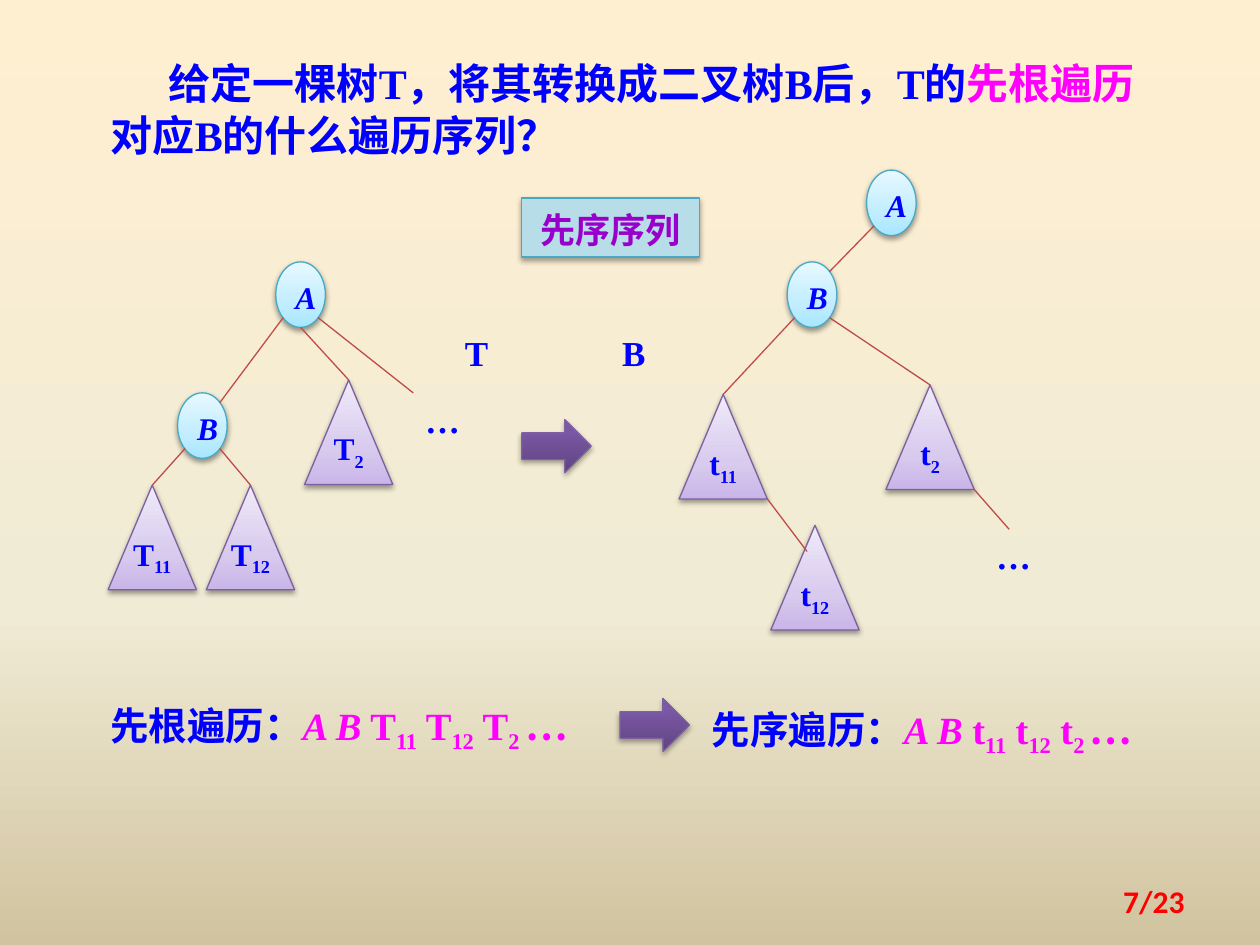
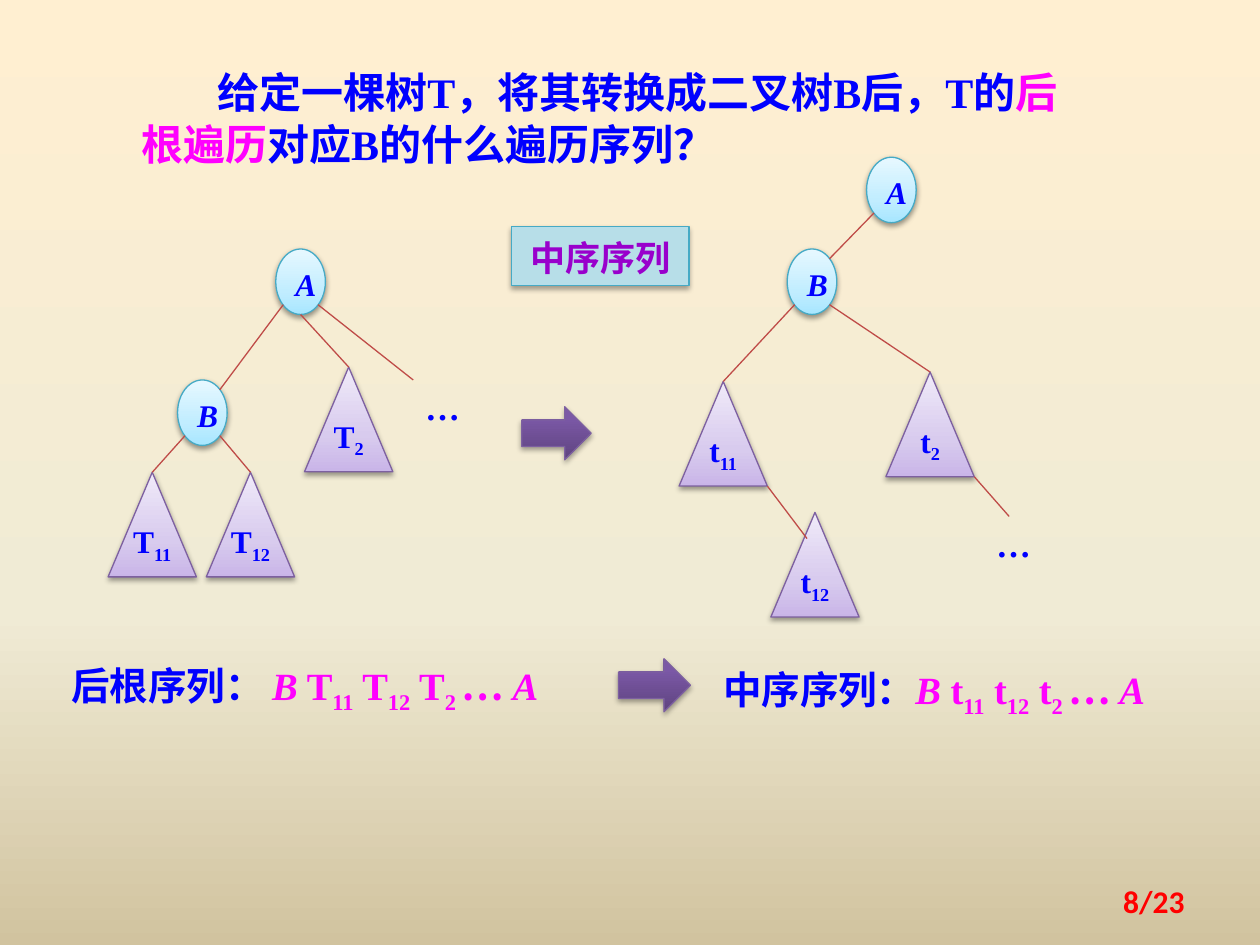
from dataclasses import dataclass
from lxml.etree import SubElement as Sub
from pptx import Presentation
from pptx.dml.color import RGBColor as Rgb
from pptx.enum.shapes import MSO_CONNECTOR as Link, MSO_SHAPE as Form
from pptx.enum.text import MSO_ANCHOR as Anchor, MSO_AUTO_SIZE as Fit, PP_ALIGN as Align
from pptx.oxml.ns import qn
from pptx.util import Cm, Pt


@dataclass(frozen=True)
class Theme:
    serif: str = "Times New Roman"
    hans: str = "Noto Sans CJK SC"
    sans: str = "Calibri"
    blue: str = "0000FF"
    pink: str = "FF00FF"
    purple: str = "9900CC"
    red: str = "FF0000"
    edge: str = "BF4C48"
    teal: str = "46AAC5"
    violet: str = "7D60A0"
    badge: str = "B7DEE8"
    paper: tuple = ((0, "FFEFD1"), (65, "F0EBD5"), (100, "D1C39F"))
    sky: tuple = ((0, "A7E6FF"), (35, "C1EDFF"), (100, "E7F8FF"))
    lilac: tuple = ((0, "C9B5E8"), (35, "D8CBEE"), (100, "F0EAF9"))
    grape: tuple = ((0, "5F4480"), (80, "7B58A6"), (100, "7C57A8"))
    head: int = 24
    row: int = 22
    label: int = 20
    node: int = 18


T = Theme()
ROUND = (1, 1.32)
PEAK = (1.78, 2.11)
DOTS = (1.4, 1.32)

PORTS = {
    "left": (0.15, 0.85), "right": (0.85, 0.85), "foot": (0.5, 1), "top": (0.5, 0),
    "upper": (0.85, 0.15), "corner": (1, 1), "side": (0.41, 0.25),
    "start": (0, 0), "inner": (0.36, 0),
}

TREE = {
    "A": (3.38, 0), "B": (1.4, 2.64), "T11": (0, 4.5), "T12": (1.98, 4.5),
    "T2": (3.96, 2.38), "…": (6.15, 2.64),
}
TREE_EDGES = (
    ("A", "left", "B", "upper"), ("A", "foot", "T2", "top"), ("A", "right", "…", "start"),
    ("B", "left", "T11", "top"), ("B", "right", "T12", "top"),
)
BINARY = {
    "A": (3.78, 0), "B": (2.18, 1.85), "t11": (0, 4.52), "t12": (1.85, 7.16),
    "t2": (4.17, 4.33), "…": (6.15, 7.24),
}
BINARY_EDGES = (
    ("A", "left", "B", "upper"), ("B", "left", "t11", "top"), ("B", "right", "t2", "top"),
    ("t11", "corner", "t12", "side"), ("t2", "corner", "…", "inner"),
)

SLIDES = (
    dict(
        page="7/23", ask="先根遍历", title=(1.98, 0.99, 21.44, 2.39), indent=1.17,
        badge=("先序序列", 10.52, 3.99), drop=0, names=True,
        rows=(("先根遍历：", "A B", "T", "", (1.98, 14.02, 10.11, 1.24)),
              ("先序遍历：", "A B", "t", "", (14.1, 14.1, 10.11, 1.24))),
        arrow=(12.5, 14.08, 1.4, 1.07),
    ),
    dict(
        page="8/23", ask="后根遍历", title=(2.59, 1.17, 19.1, 2.39), indent=1.54,
        badge=("中序序列", 10.31, 4.57), drop=-0.26, names=False,
        rows=(("后根序列： ", "B", "T", "A", (1.19, 13.23, 11.07, 1.32)),
              ("中序序列：", "B", "t", "A", (14.33, 13.31, 10.49, 1.24))),
        arrow=(12.47, 13.28, 1.45, 1.07),
    ),
)


def grade(root, fill, stops, angle):
    fill.gradient()
    fill.gradient_angle = angle
    group = root.find(".//" + qn("a:gsLst"))
    for old in list(group):
        group.remove(old)
    for place, color in stops:
        stop = Sub(group, qn("a:gs"), pos=str(place * 1000))
        Sub(stop, qn("a:srgbClr"), val=color)


def shade(shape, alpha, drop):
    shape.shadow.inherit = False
    cast = Sub(shape.element.spPr.find(qn("a:effectLst")), qn("a:outerShdw"),
               blurRad=str(Pt(3.1)), dist=str(Pt(drop)), dir="5400000", rotWithShape="0")
    color = Sub(cast, qn("a:srgbClr"), val="000000")
    Sub(color, qn("a:alpha"), val=str(alpha * 1000))


def put(par, text, size, color=T.blue, font=T.serif, italic=False, low=False):
    run = par.add_run()
    run.text = text
    face = run.font
    face.name, face.size, face.bold, face.italic = font, Pt(size), True, italic
    face.color.rgb = Rgb.from_string(color)
    props = run.font._element
    Sub(props, qn("a:ea"), typeface=T.hans)
    if low:
        props.set("baseline", "-25000")


def lead(par, space, align=Align.LEFT):
    par.line_spacing = space
    par.alignment = align
    return par


def note(slide, box):
    shape = slide.shapes.add_textbox(*map(Cm, box))
    shape.text_frame.word_wrap = True
    return shape, lead(shape.text_frame.paragraphs[0], Pt(30))


def solid(slide, form, box, fill, line, alpha=35, drop=1.8):
    shape = slide.shapes.add_shape(form, *map(Cm, box))
    if isinstance(fill, str):
        shape.fill.solid()
        shape.fill.fore_color.rgb = Rgb.from_string(fill)
    else:
        grade(shape.element, shape.fill, fill, 90)
    shape.line.color.rgb = Rgb.from_string(line)
    shape.line.width = Pt(0.75)
    shade(shape, alpha, drop)
    shape.text_frame.word_wrap = True
    return shape


def arrow(slide, box):
    solid(slide, Form.RIGHT_ARROW, box, T.grape, T.violet)


def circle(slide, name, x, y):
    shape = solid(slide, Form.OVAL, (x, y, *ROUND), T.sky, T.teal, 38, 1.6)
    shape.text_frame.vertical_anchor = Anchor.MIDDLE
    par = lead(shape.text_frame.paragraphs[0], 1.1, Align.CENTER)
    par.space_before = Pt(9)
    put(par, name, T.node, italic=True)
    return shape


def peak(slide, name, x, y):
    shape = solid(slide, Form.ISOSCELES_TRIANGLE, (x, y, *PEAK), T.lilac, T.violet, 38, 1.6)
    frame = shape.text_frame
    frame.vertical_anchor = Anchor.MIDDLE
    frame.margin_left = frame.margin_right = frame.margin_top = frame.margin_bottom = 0
    par = lead(frame.paragraphs[0], Pt(16), Align.CENTER)
    put(par, name[0], T.node)
    put(par, name[1:], T.node, low=True)
    return shape


def label(slide, text, x, y, font=T.serif):
    shape, par = note(slide, (x, y, *DOTS))
    put(par, text, T.label, font=font)
    return shape


def spot(shape, port):
    across, down = PORTS[port]
    return (int(shape.left + across * shape.width), int(shape.top + down * shape.height))


def edge(slide, start, end):
    line = slide.shapes.add_connector(Link.STRAIGHT, *start, *end)
    line.line.color.rgb = Rgb.from_string(T.edge)
    line.line.width = Pt(0.75)
    Sub(line.element.spPr, qn("a:effectLst"))


def tree(slide, left, top, nodes, edges):
    made = {}
    for name, (x, y) in nodes.items():
        x, y = left + x, top + y
        if name == "…":
            made[name] = label(slide, name, x, y, T.hans)
        elif len(name) == 1:
            made[name] = circle(slide, name, x, y)
        else:
            made[name] = peak(slide, name, x, y)
    for first, out, last, into in edges:
        edge(slide, spot(made[first], out), spot(made[last], into))


def title(slide, ask, box, indent):
    shape = slide.shapes.title
    shape.left, shape.top, shape.width, shape.height = map(Cm, box)
    frame = shape.text_frame
    frame.word_wrap = True
    frame.auto_size = Fit.NONE
    frame.vertical_anchor = Anchor.TOP
    par = lead(frame.paragraphs[0], Pt(30))
    par._p.get_or_add_pPr().set("indent", str(Cm(indent)))
    put(par, "给定一棵树T，将其转换成二叉树B后，T的", T.head)
    put(par, ask, T.head, T.pink)
    put(par, "对应B的什么遍历序列？", T.head)


def badge(slide, text, x, y):
    shape = solid(slide, Form.RECTANGLE, (x, y, 3.58, 1.19), T.badge, T.teal)
    par = lead(shape.text_frame.paragraphs[0], Pt(26), Align.CENTER)
    put(par, text, T.label, T.purple, T.hans)


def row(slide, name, first, letter, last, box):
    _, par = note(slide, box)
    put(par, name, T.row)
    put(par, first, T.row, T.pink, italic=True)
    for index in ("11", "12", "2 "):
        put(par, " " + letter, T.row, T.pink)
        put(par, index, T.row, T.pink, low=True)
    put(par, "… " if last else "…", T.row, T.pink, T.hans)
    if last:
        put(par, last, T.row, T.pink, italic=True)


def footer(slide, text):
    shape, par = note(slide, (18.21, 17.65, 5.92, 1.02))
    shape.text_frame.vertical_anchor = Anchor.MIDDLE
    lead(par, 1.0, Align.RIGHT)
    put(par, text, T.node, T.red, T.sans)


def build(deck, data):
    slide = deck.slides.add_slide(deck.slide_layouts[5])
    drop = data["drop"]
    title(slide, data["ask"], data["title"], data["indent"])
    for item in data["rows"]:
        row(slide, *item)
    arrow(slide, data["arrow"])
    tree(slide, 2.18, 5.28 + drop, TREE, TREE_EDGES)
    tree(slide, 13.69, 3.43 + drop, BINARY, BINARY_EDGES)
    arrow(slide, (10.52, 8.46 + drop, 1.4, 1.07))
    if data["names"]:
        label(slide, "T", 9.12, 6.35)
        label(slide, "B", 12.29, 6.35)
    badge(slide, *data["badge"])
    footer(slide, data["page"])


def main():
    deck = Presentation()
    deck.slide_width, deck.slide_height = Cm(25.4), Cm(19.05)
    master = deck.slide_master
    grade(master.element, master.background.fill, T.paper, 270)
    for data in SLIDES:
        build(deck, data)
    deck.save("out.pptx")


if __name__ == "__main__":
    main()
